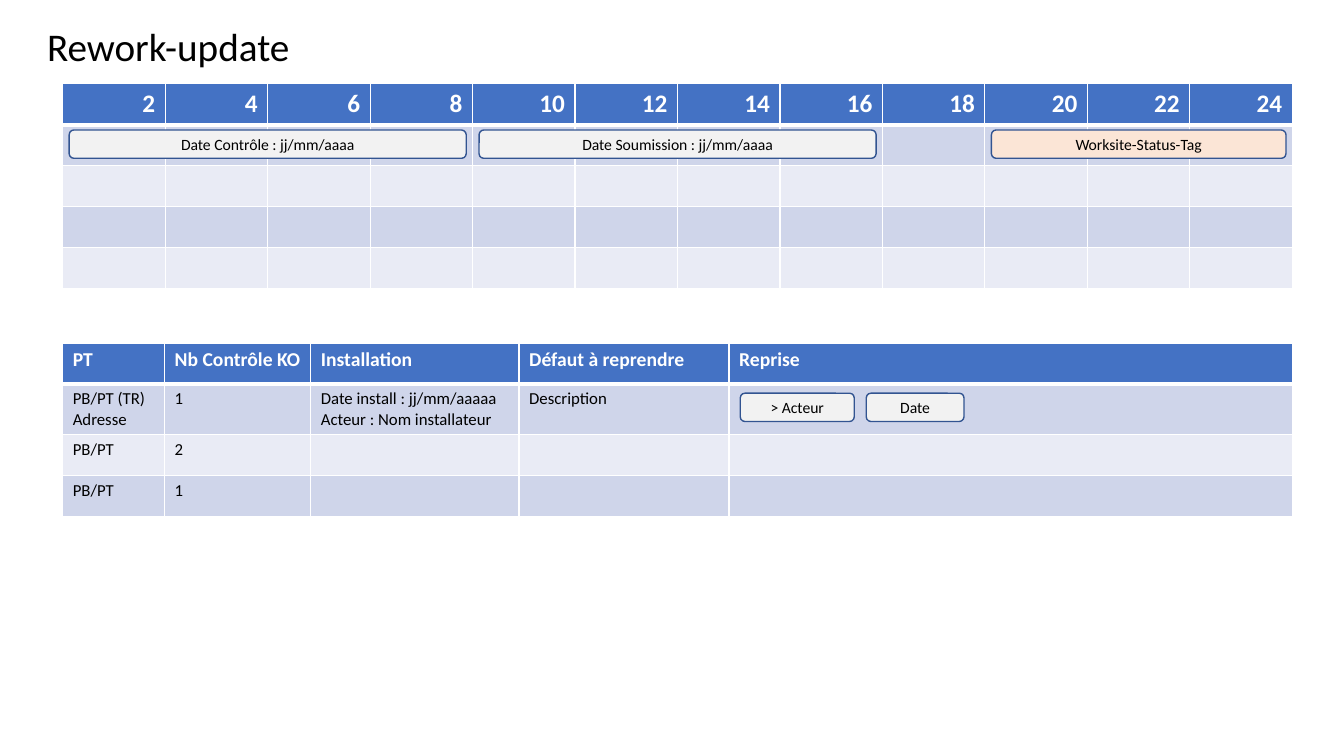
from lxml.etree import SubElement
from pptx import Presentation
from pptx.dml.color import RGBColor
from pptx.enum.shapes import MSO_SHAPE
from pptx.enum.text import MSO_ANCHOR as Anchor, PP_ALIGN as Align
from pptx.oxml.ns import qn
from pptx.util import Pt

COLORS = {
    "black": "000000", "white": "FFFFFF", "header": "4472C4",
    "band_dark": "CFD5EA", "band_light": "E9EBF5",
    "chip": "F2F2F2", "status": "FBE5D6", "outline": "325491",
}
FONT = "Calibri"
ROW_HEIGHT = 29.25
CHIP_HEIGHT = 20.2


def color(name):
    """Return the named colour."""
    return RGBColor.from_string(COLORS[name])


def write(frame, text, size, font_color="black", bold=False, align=Align.LEFT):
    """Fill a text frame, one paragraph per line, in a single style."""
    frame.text = text
    for paragraph in frame.paragraphs:
        paragraph.alignment = align
        paragraph.font.name = FONT
        paragraph.font.size = Pt(size)
        paragraph.font.bold = bold
        paragraph.font.color.rgb = color(font_color)


def add_borders(cell, bottom_width):
    """Draw white borders round a cell."""
    properties = cell._tc.get_or_add_tcPr()
    widths = {"a:lnL": 1, "a:lnR": 1, "a:lnT": 1, "a:lnB": bottom_width}
    for tag, width in widths.items():
        line = SubElement(properties, qn(tag), w=str(Pt(width)))
        fill = SubElement(line, qn("a:solidFill"))
        SubElement(fill, qn("a:srgbClr"), val=COLORS["white"])


def add_banded_table(slide, box, columns, rows, header_size, header_align=Align.LEFT):
    """Add a table with a blue header and alternating bands."""
    left, top, width, height = box
    table = slide.shapes.add_table(
        len(rows), len(columns), Pt(left), Pt(top), Pt(width), Pt(height)).table
    for column, column_width in zip(table.columns, columns):
        column.width = Pt(column_width)
    for row_index, texts in enumerate(rows):
        is_header = row_index == 0
        lines = max(text.count("\n") + 1 for text in texts)
        table.rows[row_index].height = Pt(36 if lines > 1 else ROW_HEIGHT)
        band = "header" if is_header else ("band_light", "band_dark")[row_index % 2]
        for column_index, text in enumerate(texts):
            cell = table.cell(row_index, column_index)
            add_borders(cell, 3 if is_header else 1)
            cell.fill.solid()
            cell.fill.fore_color.rgb = color(band)
            if is_header:
                write(cell.text_frame, text, header_size, "white", True, header_align)
                if header_align == Align.LEFT:
                    cell.margin_right = Pt(2)  # keeps each heading on one line
            else:
                write(cell.text_frame, text, 12)


def add_chip(slide, left, top, width, text, fill="chip"):
    """Add a rounded label."""
    shape = slide.shapes.add_shape(
        MSO_SHAPE.ROUNDED_RECTANGLE, Pt(left), Pt(top), Pt(width), Pt(CHIP_HEIGHT))
    shape.shadow.inherit = False
    shape.fill.solid()
    shape.fill.fore_color.rgb = color(fill)
    shape.line.color.rgb = color("outline")
    shape.line.width = Pt(1)
    frame = shape.text_frame
    frame.margin_left = frame.margin_right = Pt(2.9)
    frame.margin_top = frame.margin_bottom = Pt(3.6)
    frame.vertical_anchor = Anchor.MIDDLE
    frame.word_wrap = True
    write(frame, text, 11.2, align=Align.CENTER)


def add_title(slide, box):
    """Add the slide title."""
    frame = slide.shapes.add_textbox(*map(Pt, box)).text_frame
    frame.word_wrap = True
    write(frame, "Rework-update", 28)


def add_timeline(slide, box):
    """Add the even-numbered grid and the labels spanning its first row."""
    left, top, width, _ = box
    count, inset = 12, 4.6
    step = width / count
    header = [str(2 * number) for number in range(1, count + 1)]
    rows = [header] + [[""] * count for _ in range(4)]
    add_banded_table(slide, box, [step] * count, rows, 18, Align.RIGHT)
    chips = [
        (0, 4, "Date Contrôle : jj/mm/aaaa", "chip"),
        (4, 4, "Date Soumission : jj/mm/aaaa", "chip"),
        (9, 3, "Worksite-Status-Tag", "status"),
    ]
    for start, span, text, fill in chips:
        add_chip(slide, left + start * step + inset, top + ROW_HEIGHT + 3.8,
                 span * step - 2 * inset, text, fill)


def add_rework_list(slide, box):
    """Add the list of defects and the labels in its last column."""
    left, top, width, _ = box
    columns = [72.8, 104.4, 148.8, 150]
    columns.append(width - sum(columns))
    rows = [
        ["PT", "Nb Contrôle KO", "Installation", "Défaut à reprendre", "Reprise"],
        ["PB/PT (TR)\nAdresse", "1",
         "Date install : jj/mm/aaaaa\nActeur : Nom installateur", "Description", ""],
        ["PB/PT", "2", "", "", ""],
        ["PB/PT", "1", "", "", ""],
    ]
    add_banded_table(slide, box, columns, rows, 14)
    chip_left = left + sum(columns[:-1]) + 8
    for text, chip_width in [("> Acteur", 81.4), ("Date", 69.8)]:
        add_chip(slide, chip_left, top + ROW_HEIGHT + 6.6, chip_width, text)
        chip_left += chip_width + 8.6


presentation = Presentation()
presentation.slide_width, presentation.slide_height = Pt(960), Pt(540)
slide = presentation.slides.add_slide(presentation.slide_layouts[6])
add_title(slide, (26.6, 12.2, 326, 41))
add_rework_list(slide, (44.8, 245, 878.4, 123.75))
add_timeline(slide, (44.8, 59.8, 878.4, 146.25))
presentation.save("out.pptx")
